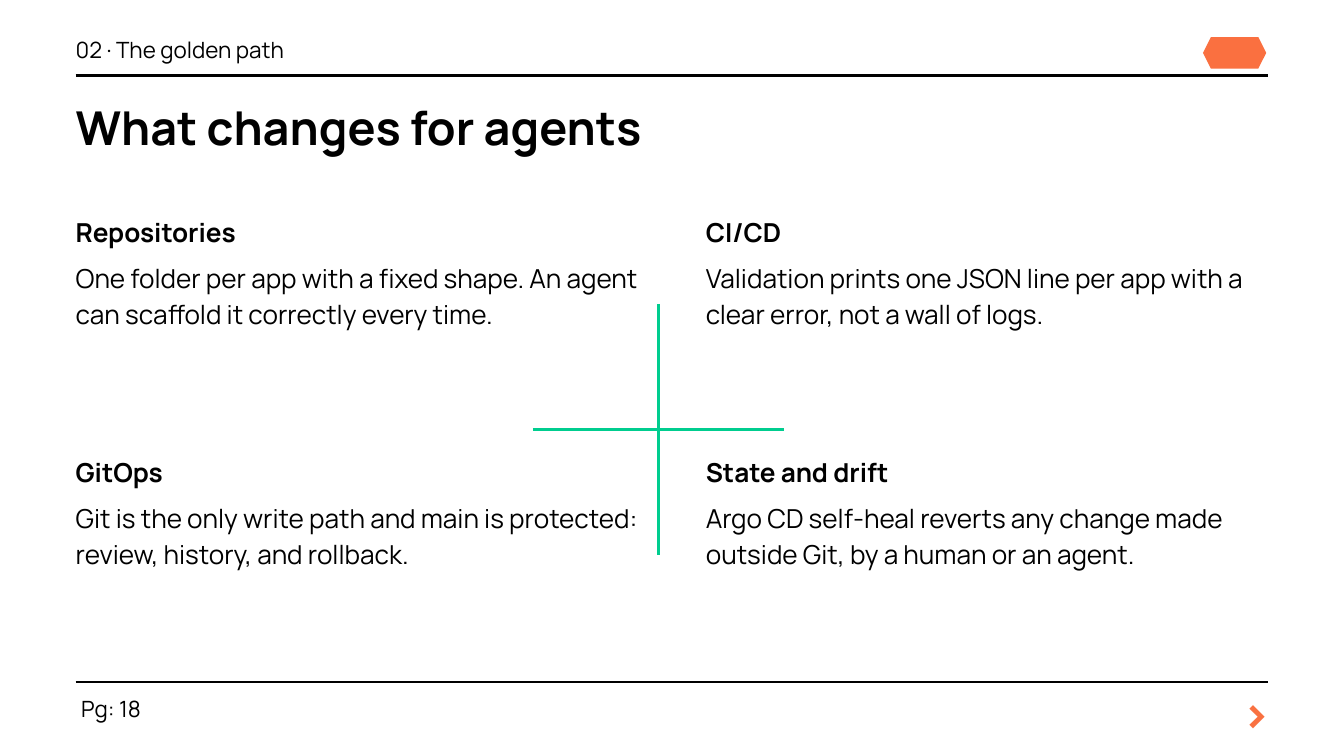
from lxml import etree
from pptx import Presentation
from pptx.dml.color import RGBColor as Rgb
from pptx.enum.shapes import MSO_CONNECTOR as Link, MSO_SHAPE as Form
from pptx.enum.text import PP_ALIGN as Align
from pptx.oxml.ns import qn
from pptx.util import Cm, Pt

HUES = {"ink": "000000", "mint": "00CD8F", "logo": "FA7040", "mark": "F97141"}


class Deck:
    """Holds the style and the current slide."""

    font = "Manrope"
    lead = 1.4  # line height as a multiple of text size

    def __init__(self, wide, high):
        self.show = Presentation()
        self.show.slide_width = Cm(wide)
        self.show.slide_height = Cm(high)
        self.slide = self.show.slides.add_slide(self.show.slide_layouts[6])

    def rule(self, x1, y1, x2, y2, hue="ink"):
        line = self.slide.shapes.add_connector(
            Link.STRAIGHT, Cm(x1), Cm(y1), Cm(x2), Cm(y2))
        line.line.color.rgb = Rgb.from_string(HUES[hue])
        line.line.width = Pt(3)
        etree.SubElement(line.element.spPr, qn("a:effectLst"))

    def block(self, form, x, y, wide, high, hue):
        shape = self.slide.shapes.add_shape(form, Cm(x), Cm(y), Cm(wide), Cm(high))
        shape.shadow.inherit = False
        shape.fill.solid()
        shape.fill.fore_color.rgb = Rgb.from_string(HUES[hue])
        shape.line.fill.background()

    def text(self, x, y, wide, high, words, size, bold=False, hue="ink",
             align=Align.LEFT):
        box = self.slide.shapes.add_textbox(Cm(x), Cm(y), Cm(wide), Cm(high))
        frame = box.text_frame
        frame.word_wrap = True
        frame.margin_left = frame.margin_right = 0
        frame.margin_top = frame.margin_bottom = 0
        frame.text = words
        for para in frame.paragraphs:
            para.alignment = align
            para.line_spacing = Pt(size * self.lead)
            for run in para.runs:
                run.font.name = self.font
                run.font.size = Pt(size)
                run.font.bold = bold
                run.font.color.rgb = Rgb.from_string(HUES[hue])
        return frame

    def card(self, x, y, wide, high, head, body):
        frame = self.text(x, y, wide, high, f"{head}\n{body}", 28)
        title, note = frame.paragraphs
        title.runs[0].font.bold = True
        note.space_before = Pt(10)

    def save(self):
        self.show.save("out.pptx")


def main():
    deck = Deck(50.8, 28.58)
    left, right = 2.86, 47.94

    # Header and footer
    for y in (2.86, 25.78):
        deck.rule(left, y, right, y)
    deck.block(Form.HEXAGON, 45.47, 1.4, 2.39, 1.2, "logo")
    deck.text(46.89, 25.48, 1.04, 2.49, ">", 52, True, "mark", Align.CENTER)
    deck.text(3.07, 26.11, 4.06, 1.12, "Pg: 18", 24)
    deck.text(left, 1.19, 35.56, 1.12, "02 · The golden path", 24)

    # Title
    deck.text(left, 3.38, 41.91, 2.39, "What changes for agents", 50, True)

    # Cross between the cards
    mid_x, mid_y, arm = 24.89, 16.24, 4.75
    deck.rule(mid_x - arm, mid_y, mid_x + arm, mid_y, "mint")
    deck.rule(mid_x, mid_y - arm, mid_x, mid_y + arm, "mint")

    # Two by two cards
    cards = [
        ("Repositories", "One folder per app with a fixed shape. "
         "An agent can scaffold it correctly every time."),
        ("CI/CD", "Validation prints one JSON line per app with a clear error, "
         "not a wall of logs."),
        ("GitOps", "Git is the only write path and main is protected: "
         "review, history, and rollback."),
        ("State and drift", "Argo CD self-heal reverts any change made "
         "outside Git, by a human or an agent."),
    ]
    for spot, (head, body) in enumerate(cards):
        row, col = divmod(spot, 2)
        deck.card(left + col * 23.82, 7.98 + row * 9.07, 21.26, 7.82, head, body)

    deck.save()


if __name__ == "__main__":
    main()
